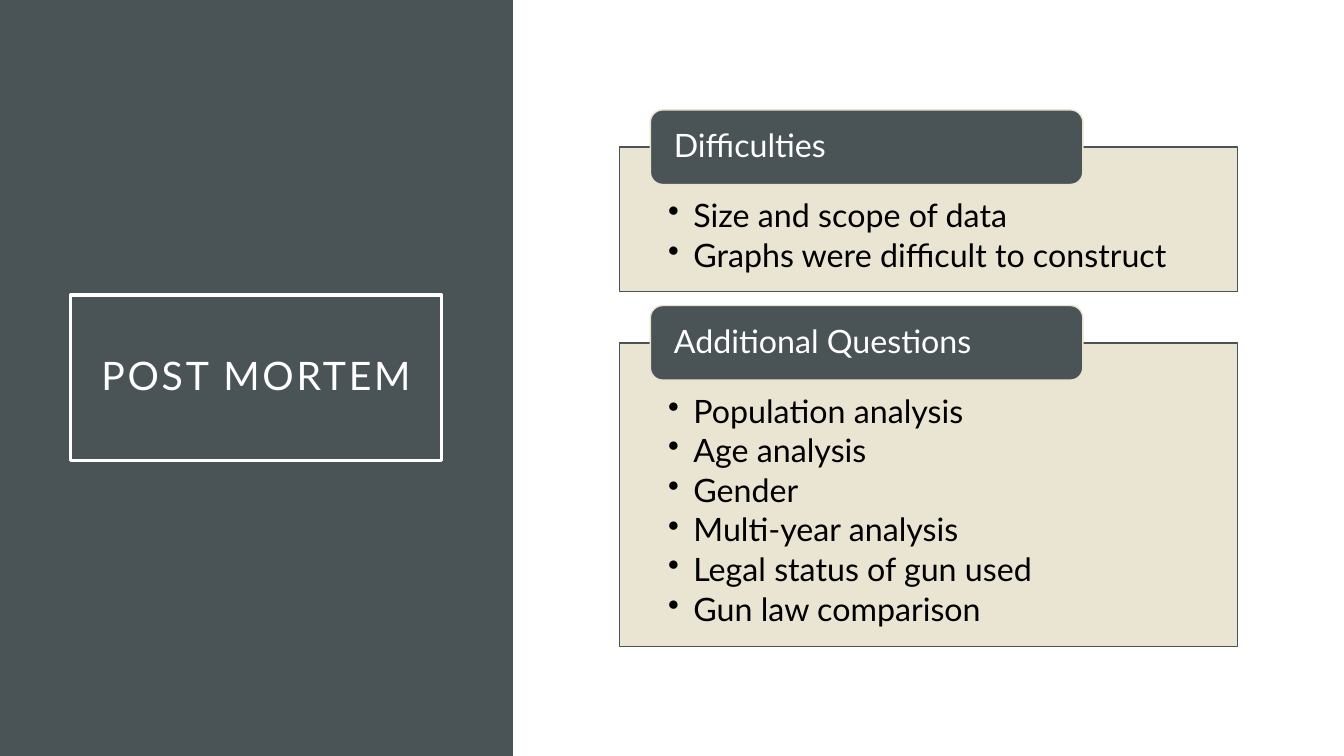
from dataclasses import dataclass

from lxml.etree import SubElement
from pptx import Presentation
from pptx.dml.color import RGBColor
from pptx.enum.shapes import MSO_SHAPE as Shape
from pptx.enum.text import MSO_ANCHOR as Anchor, PP_ALIGN as Align
from pptx.oxml.ns import qn
from pptx.util import Cm, Pt

SLATE, SAND, WHITE, BLACK = "4A5356", "E8E3CE", "FFFFFF", "000000"
FONT = "Lato"

# Measures in cm
PANEL_LEFT, PANEL_TOP, PANEL_WIDTH = 15.62, 3.71, 15.57
PANEL_BASE, ITEM_HEIGHT, PANEL_GAP = 1.62, 1.005, 1.3
TAG_INDENT, TAG_WIDTH, TAG_HEIGHT = 0.77, 10.9, 1.88


@dataclass
class Section:
    heading: str
    items: list[str]

    @property
    def height(self) -> float:
        return PANEL_BASE + ITEM_HEIGHT * len(self.items)


SECTIONS = [
    Section("Difficulties", [
        "Size and scope of data",
        "Graphs were difficult to construct",
    ]),
    Section("Additional Questions", [
        "Population analysis",
        "Age analysis",
        "Gender",
        "Multi-year analysis",
        "Legal status of gun used",
        "Gun law comparison",
    ]),
]


def rgb(color: str) -> RGBColor:
    return RGBColor.from_string(color)


def add_box(slide, kind, left, top, width, height, *, fill=None, line=None,
            line_width=1.0, alpha=None):
    sp = slide.shapes.add_shape(kind, Cm(left), Cm(top), Cm(width), Cm(height))
    sp.shadow.inherit = False
    if fill:
        sp.fill.solid()
        sp.fill.fore_color.rgb = rgb(fill)
    else:
        sp.fill.background()
    if alpha:
        clr = sp.fill._xPr.find(".//" + qn("a:srgbClr"))
        SubElement(clr, qn("a:alpha"), val=str(alpha * 1000))
    if line:
        sp.line.color.rgb = rgb(line)
        sp.line.width = Pt(line_width)
    else:
        sp.line.fill.background()
    return sp


def add_text(sp, lines: list[str], *, size=23, color=WHITE, align=Align.LEFT,
             anchor=Anchor.MIDDLE, insets=(0, 0, 0, 0), after=0.0,
             tracking=0, bullet=False) -> None:
    tf = sp.text_frame
    tf.word_wrap = True
    tf.vertical_anchor = anchor
    tf.margin_left, tf.margin_top, tf.margin_right, tf.margin_bottom = map(Cm, insets)
    for i, text in enumerate(lines):
        p = tf.add_paragraph() if i else tf.paragraphs[0]
        p.alignment = align
        p.line_spacing = 0.9
        p.space_after = Pt(after)
        if bullet:
            pPr = p._p.get_or_add_pPr()
            pPr.set("marL", str(Cm(0.635)))
            pPr.set("indent", str(-Cm(0.635)))
            SubElement(pPr, qn("a:buChar"), char="•")
        r = p.add_run()
        r.text = text
        r.font.name = FONT
        r.font.size = Pt(size)
        r.font.color.rgb = rgb(color)
        if tracking:
            r._r.get_or_add_rPr().set("spc", str(tracking * 100))


def add_section(slide, section: Section, top: float) -> None:
    panel = add_box(slide, Shape.RECTANGLE, PANEL_LEFT, top, PANEL_WIDTH,
                    section.height, fill=SAND, line=SLATE, alpha=90)
    add_text(panel, section.items, color=BLACK, anchor=Anchor.TOP,
             insets=(1.22, 1.32, 1.22, 0), after=3.45, bullet=True)
    # The heading tag straddles the panel's top edge
    tag = add_box(slide, Shape.ROUNDED_RECTANGLE, PANEL_LEFT + TAG_INDENT,
                  top - TAG_HEIGHT / 2, TAG_WIDTH, TAG_HEIGHT, fill=SLATE, line=SAND)
    add_text(tag, [section.heading], insets=(0.5, 0, 0.5, 0))


def main() -> None:
    prs = Presentation()
    prs.slide_width, prs.slide_height = Cm(33.87), Cm(19.05)
    slide = prs.slides.add_slide(prs.slide_layouts[6])

    # Side band with the framed title
    add_box(slide, Shape.RECTANGLE, 0, 0, 12.93, 19.05, fill=SLATE)
    title = add_box(slide, Shape.RECTANGLE, 1.78, 7.44, 9.35, 4.17,
                    line=WHITE, line_width=2.5)
    add_text(title, ["POST MORTEM"], size=28, align=Align.CENTER,
             insets=(0.5, 0.5, 0.5, 0.5), tracking=2)

    # Sections stacked with an equal gap
    top = PANEL_TOP
    for section in SECTIONS:
        add_section(slide, section, top)
        top += section.height + PANEL_GAP

    prs.save("out.pptx")


if __name__ == "__main__":
    main()
